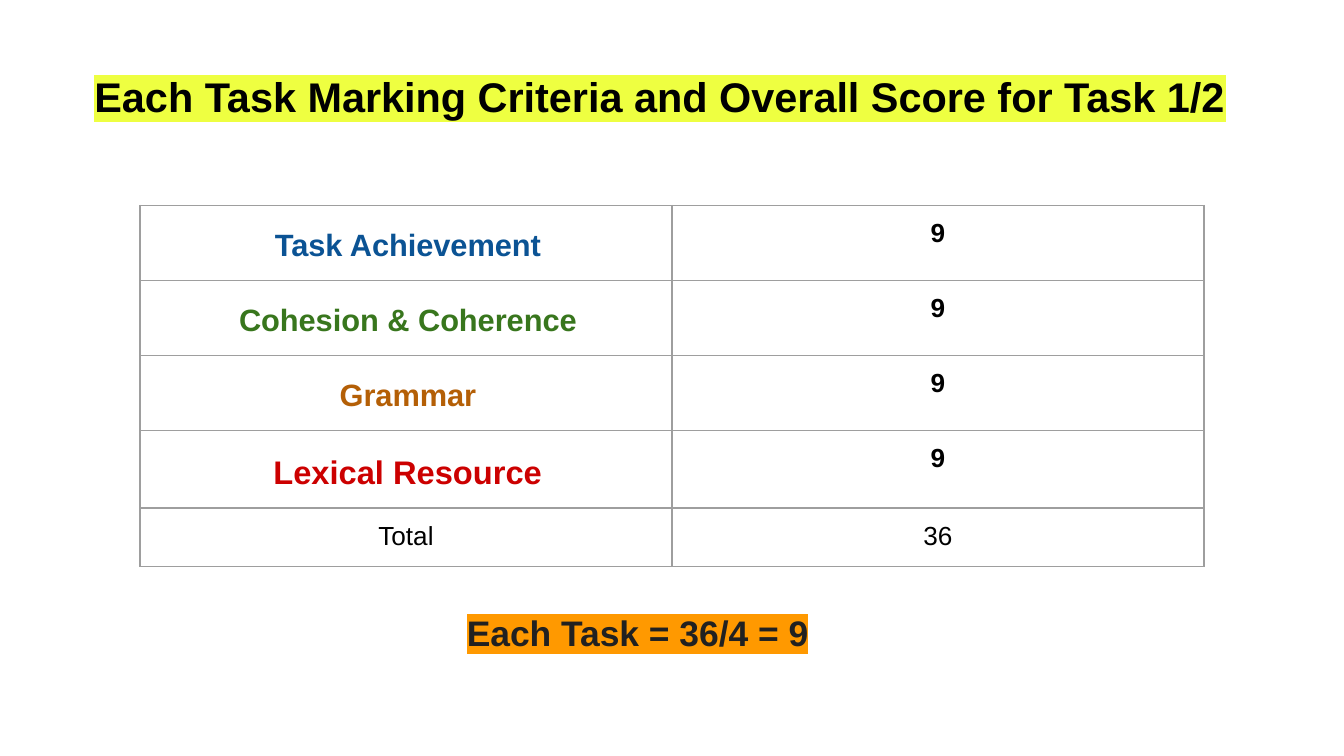
from lxml import etree
from pptx import Presentation
from pptx.dml.color import RGBColor
from pptx.enum.text import PP_ALIGN
from pptx.oxml.ns import qn
from pptx.util import Pt

CENTER = PP_ALIGN.CENTER
FONT = "Arial"
COLORS = {
    "black": "000000", "ink": "212121", "white": "FFFFFF", "border": "9E9E9E",
    "yellow": "EEFF41", "orange": "FF9900", "blue": "0B5394",
    "green": "38761D", "brown": "B45F06", "red": "CC0000",
}
CRITERIA = [
    ("Task Achievement", "blue", 16.5, 11, 3),
    ("Cohesion & Coherence", "green", 16.5, 13, 3),
    ("Grammar", "brown", 16.5, 13, 3),
    ("Lexical Resource", "red", 17.5, 17, 4),
]
MAX_SCORE = 9


class Deck:
    def __init__(self, width, height):
        self.prs = Presentation()
        self.prs.slide_width, self.prs.slide_height = Pt(width), Pt(height)
        self.s = self.prs.slides.add_slide(self.prs.slide_layouts[6])

    def add_run(self, tf, text, size, color, bold=True, highlight=None):
        p = tf.paragraphs[0]
        r = p.add_run()
        r.text = text
        r.font.name, r.font.size, r.font.bold = FONT, Pt(size), bold
        r.font.color.rgb = RGBColor.from_string(COLORS[color])
        if highlight:
            mark = etree.Element(qn("a:highlight"))
            etree.SubElement(mark, qn("a:srgbClr"), val=COLORS[highlight])
            r._r.rPr.find(qn("a:solidFill")).addnext(mark)
        return p

    def text(self, x, y, w, h, text, size, color, highlight):
        tf = self.s.shapes.add_textbox(Pt(x), Pt(y), Pt(w), Pt(h)).text_frame
        tf.word_wrap = True
        tf.margin_left = tf.margin_right = tf.margin_top = tf.margin_bottom = Pt(7.2)
        self.add_run(tf, text, size, color, highlight=highlight)

    def table(self, x, y, col_width, row_height, rows):
        sp = self.s.shapes.add_table(rows, 2, Pt(x), Pt(y),
                                     Pt(2 * col_width), Pt(rows * row_height))
        table = sp.table
        table.first_row = table.horz_banding = False
        for col in table.columns:
            col.width = Pt(col_width)
        for row in table.rows:
            row.height = Pt(row_height)
        for cell in table.iter_cells():
            self.style_cell(cell)
        return table

    def style_cell(self, cell):
        cell.margin_left = cell.margin_right = Pt(7.2)
        cell.margin_top = cell.margin_bottom = Pt(7.2)
        tc_pr = cell._tc.get_or_add_tcPr()
        for side in ("lnL", "lnR", "lnT", "lnB"):
            ln = etree.SubElement(tc_pr, qn(f"a:{side}"), w=str(Pt(0.75)))
            fill = etree.SubElement(ln, qn("a:solidFill"))
            etree.SubElement(fill, qn("a:srgbClr"), val=COLORS["border"])
        cell.fill.background()

    def cell(self, cell, text, size=14, color="black", bold=True, highlight=None):
        p = self.add_run(cell.text_frame, text, size, color, bold, highlight)
        p.alignment = CENTER
        return p

    def criterion(self, cell, text, color, size, before, after):
        p = self.cell(cell, text, size, color, highlight="white")
        p.line_spacing = 1.3
        p.space_before, p.space_after = Pt(before), Pt(after)
        p._p.get_or_add_pPr().set("marL", str(Pt(2)))


def main():
    deck = Deck(720, 405)
    deck.text(43.5, 31, 720, 45,
              "Each Task Marking Criteria and Overall Score for Task 1/2",
              22.2, "black", "yellow")
    table = deck.table(75, 110, 285, 30, len(CRITERIA) + 1)
    for i, criterion in enumerate(CRITERIA):
        deck.criterion(table.cell(i, 0), *criterion)
        deck.cell(table.cell(i, 1), str(MAX_SCORE))
    total = len(CRITERIA)
    deck.cell(table.cell(total, 0), "Total", bold=False)
    deck.cell(table.cell(total, 1), str(MAX_SCORE * total), bold=False)
    deck.text(243, 320, 297, 37, "Each Task = 36/4 = 9", 19, "ink", "orange")
    deck.prs.save("out.pptx")


if __name__ == "__main__":
    main()
